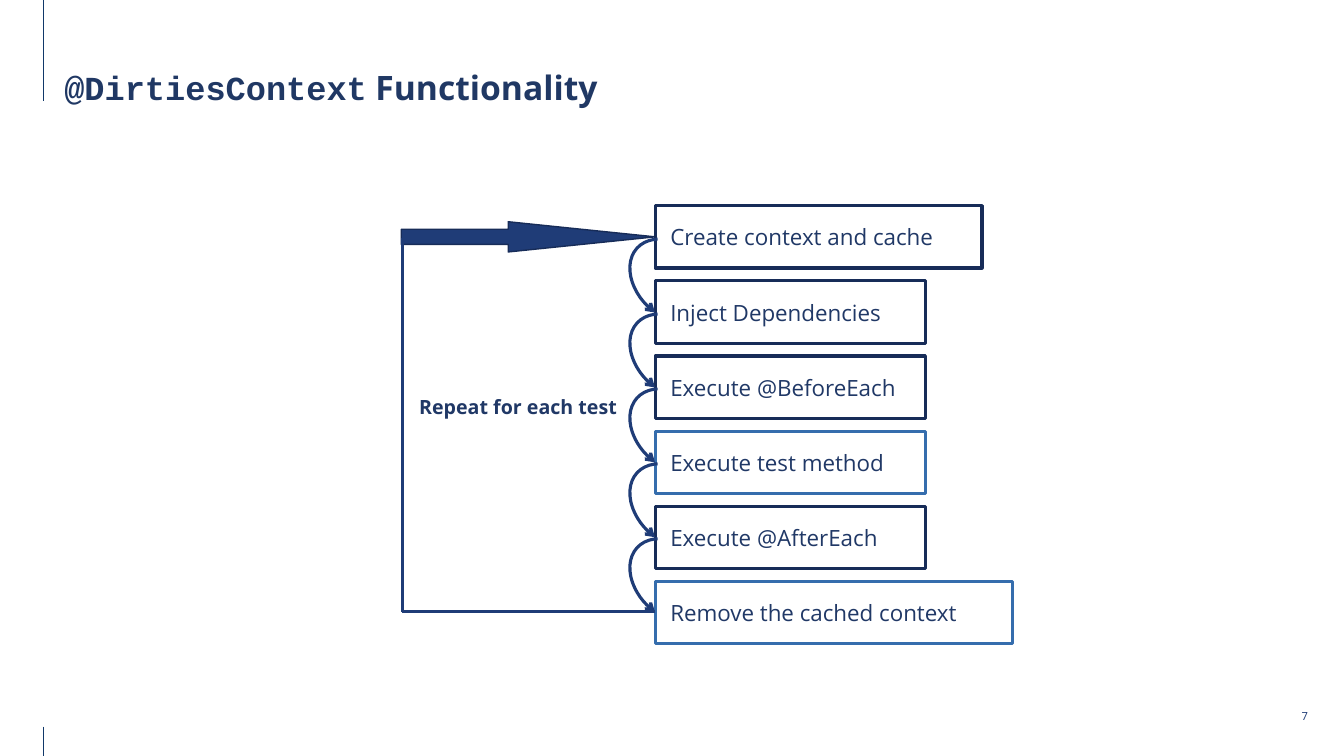
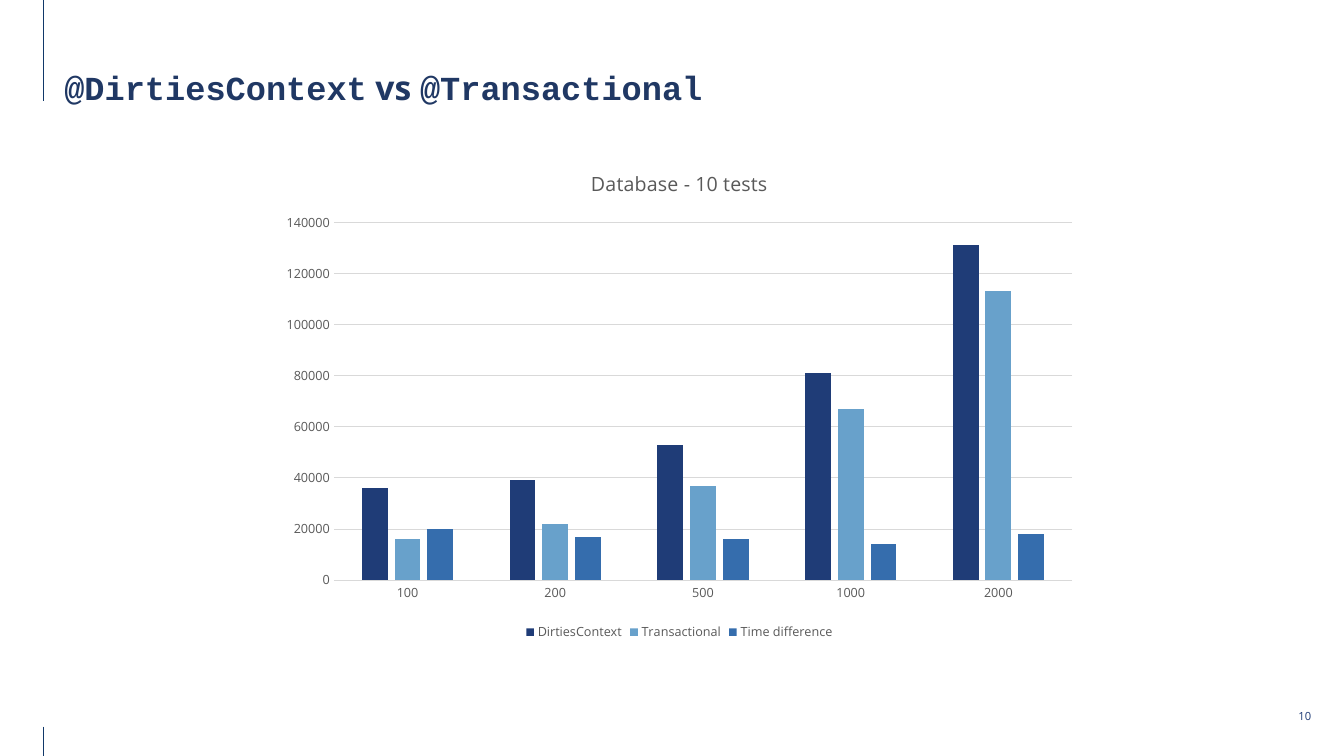
from dataclasses import dataclass

from lxml.etree import SubElement
from pptx import Presentation
from pptx.chart.data import CategoryChartData
from pptx.dml.color import RGBColor
from pptx.enum.chart import XL_CHART_TYPE, XL_LEGEND_POSITION, XL_TICK_MARK
from pptx.enum.shapes import MSO_CONNECTOR, MSO_SHAPE
from pptx.enum.text import MSO_ANCHOR, PP_ALIGN
from pptx.oxml.ns import qn
from pptx.util import Pt

COLORS = {
    "title": "203864",
    "text": "203866",
    "navy": "1F3C77",
    "dark": "172C58",
    "blue": "356DAD",
    "sky": "68A1CB",
    "rail": "113869",
    "chart_text": "595959",
    "grid": "D9D9D9",
}
SANS = "Open Sans"
MONO = "Courier New"


@dataclass
class Run:
    text: str
    font: str = SANS


@dataclass
class Step:
    text: str
    width: float
    color: str = "dark"


@dataclass
class Series:
    name: str
    values: tuple[int, ...]
    color: str


# Flow geometry, in points
STEP_LEFT, STEP_TOP, STEP_HEIGHT, STEP_PITCH = 468, 146.9, 44.6, 53.7
ARC_TOP, ARC_PITCH = 175.7, 53.5
LOOP_LEFT, LOOP_TOP, LOOP_BOTTOM = 287.3, 170, 437

STEPS = [
    Step("Create context and cache", 233.5),
    Step("Inject Dependencies", 193),
    Step("Execute @BeforeEach", 193),
    Step("Execute test method", 193, "blue"),
    Step("Execute @AfterEach", 193),
    Step("Remove the cached context", 255, "blue"),
]

CATEGORIES = ("100", "200", "500", "1000", "2000")
SERIES = [
    Series("DirtiesContext", (36000, 39000, 53000, 81000, 131000), "navy"),
    Series("Transactional", (16000, 22000, 37000, 67000, 113000), "sky"),
    Series("Time difference", (20000, 17000, 16000, 14000, 18000), "blue"),
]


def rgb(name: str) -> RGBColor:
    return RGBColor.from_string(COLORS[name])


def set_font(font, *, size: float, color: str, bold: bool = False, name: str = SANS) -> None:
    font.name, font.size, font.bold = name, Pt(size), bold
    font.color.rgb = rgb(color)


def set_line(line, color: str, width: float) -> None:
    line.color.rgb = rgb(color)
    line.width = Pt(width)


def write_text(shape, runs: list[Run], *, size: float, color: str, bold: bool = False,
               align=PP_ALIGN.LEFT, wrap: bool = False, spacing: float = 1.0,
               insets: tuple[float, float] = (7.2, 3.6)) -> None:
    frame = shape.text_frame
    frame.word_wrap = wrap
    frame.vertical_anchor = MSO_ANCHOR.MIDDLE
    frame.margin_left = frame.margin_right = Pt(insets[0])
    frame.margin_top = frame.margin_bottom = Pt(insets[1])
    paragraph = frame.paragraphs[0]
    paragraph.alignment = align
    paragraph.line_spacing = spacing
    for item in runs:
        run = paragraph.add_run()
        run.text = item.text
        set_font(run.font, size=size, color=color, bold=bold, name=item.font)


def add_text(slide, runs: list[Run], left: float, top: float, width: float,
             height: float, **text_format):
    box = slide.shapes.add_textbox(Pt(left), Pt(top), Pt(width), Pt(height))
    write_text(box, runs, **text_format)
    return box


def add_preset(slide, kind, left: float, top: float, width: float, height: float, *,
               line: str, line_width: float, fill: str | None = None,
               adjustments: tuple[float, ...] = ()):
    shape = slide.shapes.add_shape(kind, Pt(left), Pt(top), Pt(width), Pt(height))
    shape.shadow.inherit = False
    if fill:
        shape.fill.solid()
        shape.fill.fore_color.rgb = rgb(fill)
    else:
        shape.fill.background()
    set_line(shape.line, line, line_width)
    for index, value in enumerate(adjustments):
        shape.adjustments[index] = value
    return shape


def add_line(slide, start: tuple[float, float], end: tuple[float, float],
             color: str, width: float) -> None:
    connector = slide.shapes.add_connector(
        MSO_CONNECTOR.STRAIGHT, *(Pt(value) for value in (*start, *end)))
    set_line(connector.line, color, width)
    SubElement(connector._element.spPr, qn("a:effectLst"))


def new_slide(presentation, title: list[Run], number: int):
    """Add a slide with the shared rails, title and number."""
    slide = presentation.slides.add_slide(presentation.slide_layouts[6])
    for top, bottom in ((0, 72), (519, 540)):
        add_line(slide, (31, top), (31, bottom), "rail", 0.5)
    add_text(slide, title, 38.9, 48.2, 875, 31.7, size=24, color="title",
             bold=True, wrap=True, spacing=0.9)
    add_text(slide, [Run(str(number))], 921.6, 504, 20.9, 15.1, size=8,
             color="navy", align=PP_ALIGN.CENTER, insets=(5.8, 2.9))
    return slide


def build_flow(presentation) -> None:
    slide = new_slide(presentation, [Run("@DirtiesContext", MONO), Run(" Functionality")], 7)

    # Steps
    for index, step in enumerate(STEPS):
        box = add_preset(slide, MSO_SHAPE.RECTANGLE, STEP_LEFT, STEP_TOP + index * STEP_PITCH,
                         step.width, STEP_HEIGHT, line=step.color, line_width=2.25)
        write_text(box, [Run(step.text)], size=16, color="text", insets=(10.8, 3.6))

    # Curved arrows between neighbouring steps
    for index in range(len(STEPS) - 1):
        arc = add_preset(slide, MSO_SHAPE.ARC, 445.7, ARC_TOP + index * ARC_PITCH, 71.3, 51.1,
                         line="navy", line_width=2.25, adjustments=(155.53, 16.03))
        arc.rotation = 222.4
        SubElement(arc.line._get_or_add_ln(), qn("a:headEnd"), type="arrow")

    # Loop back to the first step
    add_preset(slide, MSO_SHAPE.RIGHT_ARROW, 286.6, 158.4, 181.4, 21.6, fill="navy",
               line="dark", line_width=1, adjustments=(0.5, 4.86))
    add_line(slide, (LOOP_LEFT, LOOP_TOP), (LOOP_LEFT, LOOP_BOTTOM), "navy", 2.25)
    add_line(slide, (STEP_LEFT, LOOP_BOTTOM), (LOOP_LEFT, LOOP_BOTTOM), "navy", 2.25)
    add_text(slide, [Run("Repeat for each test")], 292.3, 278.6, 157, 24.5,
             size=14, color="text", bold=True)


def build_comparison(presentation) -> None:
    title = [Run("@DirtiesContext", MONO), Run(" vs "), Run("@Transactional", MONO)]
    slide = new_slide(presentation, title, 10)

    data = CategoryChartData()
    data.categories = CATEGORIES
    for series in SERIES:
        data.add_series(series.name, series.values)
    chart = slide.shapes.add_chart(XL_CHART_TYPE.COLUMN_CLUSTERED, Pt(193), Pt(106.6),
                                   Pt(584.6), Pt(354.2), data).chart
    set_font(chart.font, size=9, color="chart_text")

    # Title and legend
    chart.has_title = True
    heading = chart.chart_title.text_frame.paragraphs[0].add_run()
    heading.text = "Database - 10 tests"
    set_font(heading.font, size=14, color="chart_text")
    chart.has_legend = True
    chart.legend.position = XL_LEGEND_POSITION.BOTTOM
    chart.legend.include_in_layout = False
    set_font(chart.legend.font, size=9, color="chart_text")

    # Axes
    for axis in (chart.category_axis, chart.value_axis):
        axis.major_tick_mark = axis.minor_tick_mark = XL_TICK_MARK.NONE
        set_font(axis.tick_labels.font, size=9, color="chart_text")
    set_line(chart.category_axis.format.line, "grid", 0.75)
    values = chart.value_axis
    values.minimum_scale, values.maximum_scale, values.major_unit = 0, 140000, 20000
    values.format.line.fill.background()
    set_line(values.major_gridlines.format.line, "grid", 0.75)

    # Columns
    plot = chart.plots[0]
    plot.gap_width, plot.overlap, plot.vary_by_categories = 219, -27, False
    for drawn, series in zip(plot.series, SERIES):
        drawn.format.fill.solid()
        drawn.format.fill.fore_color.rgb = rgb(series.color)


def main() -> None:
    presentation = Presentation()
    presentation.slide_width, presentation.slide_height = Pt(960), Pt(540)
    build_flow(presentation)
    build_comparison(presentation)
    presentation.save("out.pptx")


if __name__ == "__main__":
    main()
